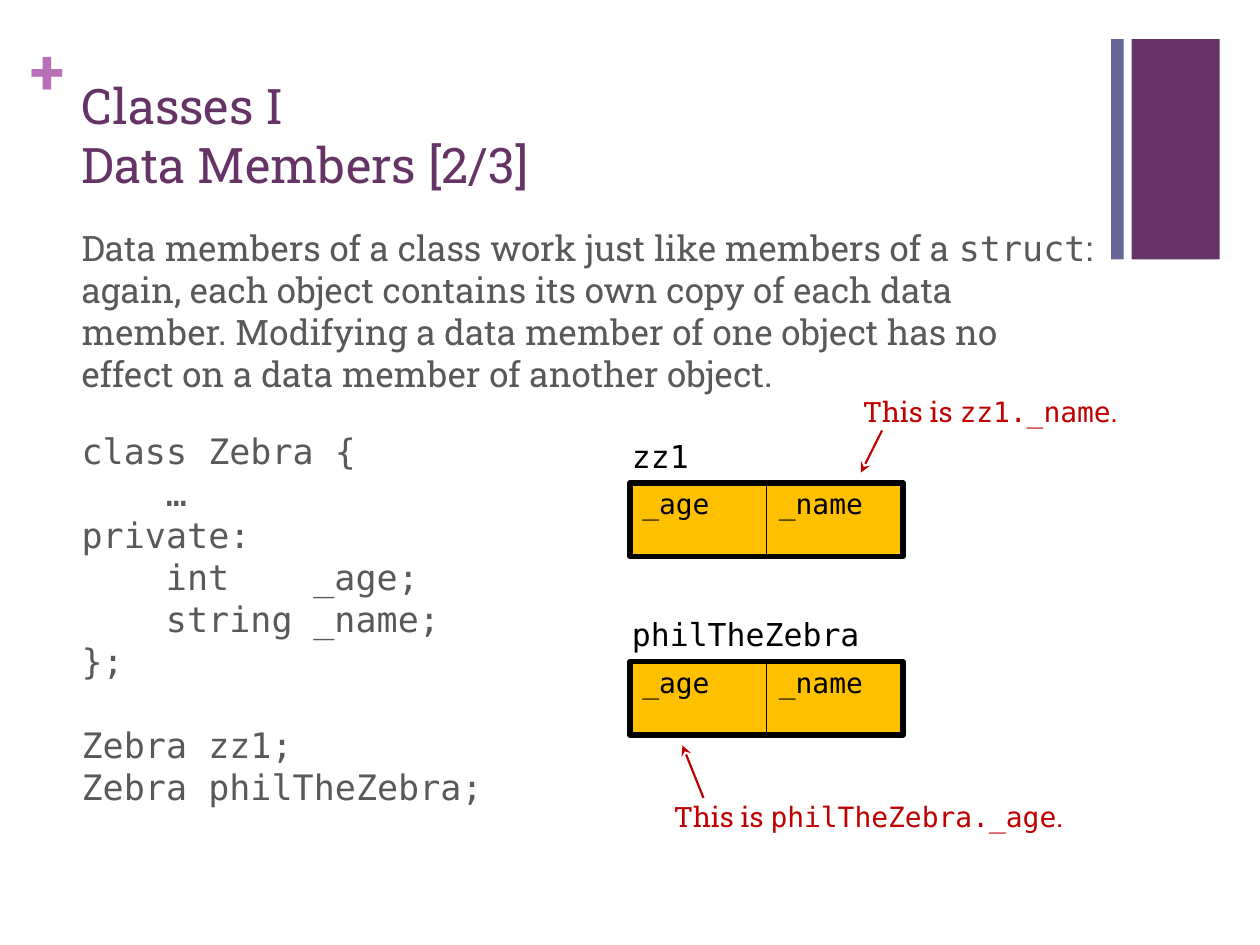
from pptx import Presentation
from pptx import util as u
from pptx.dml import color
from pptx.enum import shapes, text
from pptx.oxml import xmlchemy as xc
from pptx.oxml import ns
from lxml import etree


def hue(code):
    return color.RGBColor.from_string(code)


def child(node, tag, **attrs):
    return etree.SubElement(node, ns.qn(tag), attrs)


class Deck:
    """Draw the parts of a slide in one style, with lengths in points."""

    serif, mono = "Roboto Slab", "DejaVu Sans Mono"
    plum, lilac, slate = "663366", "B870B8", "666699"
    gray, red, gold, black = "595959", "C00000", "FFC000", "000000"

    def __init__(self, wide, high):
        self.prs = Presentation()
        self.prs.slide_width, self.prs.slide_height = u.Pt(wide), u.Pt(high)
        self.slide = self.prs.slides.add_slide(self.prs.slide_layouts[6])

    def fill(self, frame, paras, size, tint, bold=False, stops=(), pad=None, **form):
        frame.word_wrap = True
        for side, gap in (pad or {}).items():
            setattr(frame, "margin_" + side, u.Pt(gap))
        for i, (words, rules) in enumerate(paras):
            para = frame.paragraphs[0] if i == 0 else frame.add_paragraph()
            for key, val in {"alignment": text.PP_ALIGN.LEFT, **form, **rules}.items():
                setattr(para, key, val)
            if stops:
                tabs = child(para._p.get_or_add_pPr(), "a:tabLst")
                for stop in stops:
                    child(tabs, "a:tab", pos=str(u.Pt(stop)), algn="l")
            for j, part in enumerate(words.split("|")):
                for k, line in enumerate(part.split("\n")):
                    if k:
                        para.add_line_break()
                    if not line:
                        continue
                    run = para.add_run()
                    run.text = line
                    look = {"size": u.Pt(size), "bold": bold,
                            "name": self.mono if j % 2 else self.serif}
                    for key, val in look.items():
                        setattr(run.font, key, val)
                    run.font.color.rgb = hue(tint)

    def text(self, box, paras, size, tint, anchor=text.MSO_ANCHOR.TOP, **form):
        frame = self.slide.shapes.add_textbox(*map(u.Pt, box)).text_frame
        frame.vertical_anchor = anchor
        if isinstance(paras, str):
            paras = [(paras, {})]
        self.fill(frame, paras, size, tint, **form)

    def rect(self, box, tint=None, edge=0):
        shape = self.slide.shapes.add_shape(shapes.MSO_SHAPE.RECTANGLE, *map(u.Pt, box))
        shape.shadow.inherit = False
        if tint:
            shape.fill.solid()
            shape.fill.fore_color.rgb = hue(tint)
        else:
            shape.fill.background()
        if edge:
            shape.line.color.rgb = hue(self.black)
            shape.line.width = u.Pt(edge)
        else:
            shape.line.fill.background()
        return shape

    def cell(self, box, name):
        frame = self.rect(box, self.gold, 1).text_frame
        frame.vertical_anchor = text.MSO_ANCHOR.TOP
        self.fill(frame, [("|" + name, {})], 16, self.black, pad={"top": 2.2})

    def arrow(self, *ends):
        line = self.slide.shapes.add_connector(
            shapes.MSO_CONNECTOR.STRAIGHT, *map(u.Pt, ends))
        line.line.color.rgb = hue(self.red)
        line.line.width = u.Pt(1.25)
        child(line.line._get_or_add_ln(), "a:tailEnd", type="stealth")
        child(line._element.spPr, "a:effectLst")

    def zebra(self, name, top, high):
        for i, field in enumerate(("_age", "_name")):
            self.cell((360 + 78 * i, top, 78, 42), field)
        self.rect((360, top, 156, 42), edge=3)
        self.text((354, top - 30, 192, high), "|" + name, 18, self.black)


deck = Deck(720, 540)
deck.rect((646.6, 22.3, 50.4, 126), deck.plum)
deck.rect((635, 22.3, 7.2, 126), deck.slate)
deck.text((17.3, 18, 21, 44), "+", 36, deck.lilac, bold=True,
          pad=dict.fromkeys(("left", "top", "right", "bottom"), 0))
deck.text((39.6, 38.2, 594.7, 75.6), "Classes I\nData Members [2/3]", 28, deck.plum,
          text.MSO_ANCHOR.BOTTOM, line_spacing=u.Pt(33.5))

intro = ("Data members of a class work just like members of a |struct|: again, each "
         "object contains its own copy of each data member. Modifying a data member "
         "of one object has no effect on a data member of another object.")
code = "|class Zebra {\n\t…\nprivate:\n\tint\t_age;\n\tstring\t_name;\n};"
usage = "|Zebra zz1;\nZebra philTheZebra;"
deck.text((39.6, 126, 594.7, 372.2),
          [(intro, {}), (code, {"space_before": u.Pt(20)}),
           (usage, {"space_before": u.Pt(24)})],
          20, deck.gray, stops=(48.2, 132.4), line_spacing=u.Pt(24))

deck.zebra("zz1", 276, 30)
deck.zebra("philTheZebra", 378, 29)

deck.text((486, 222, 168, 26.6), "This is |zz1._name|.", 16, deck.red)
deck.arrow(504, 246, 492, 270)
deck.text((378, 453.6, 264, 26.6), "This is |philTheZebra._age|.", 16, deck.red)
deck.arrow(402, 456, 390, 426)
deck.prs.save("out.pptx")
